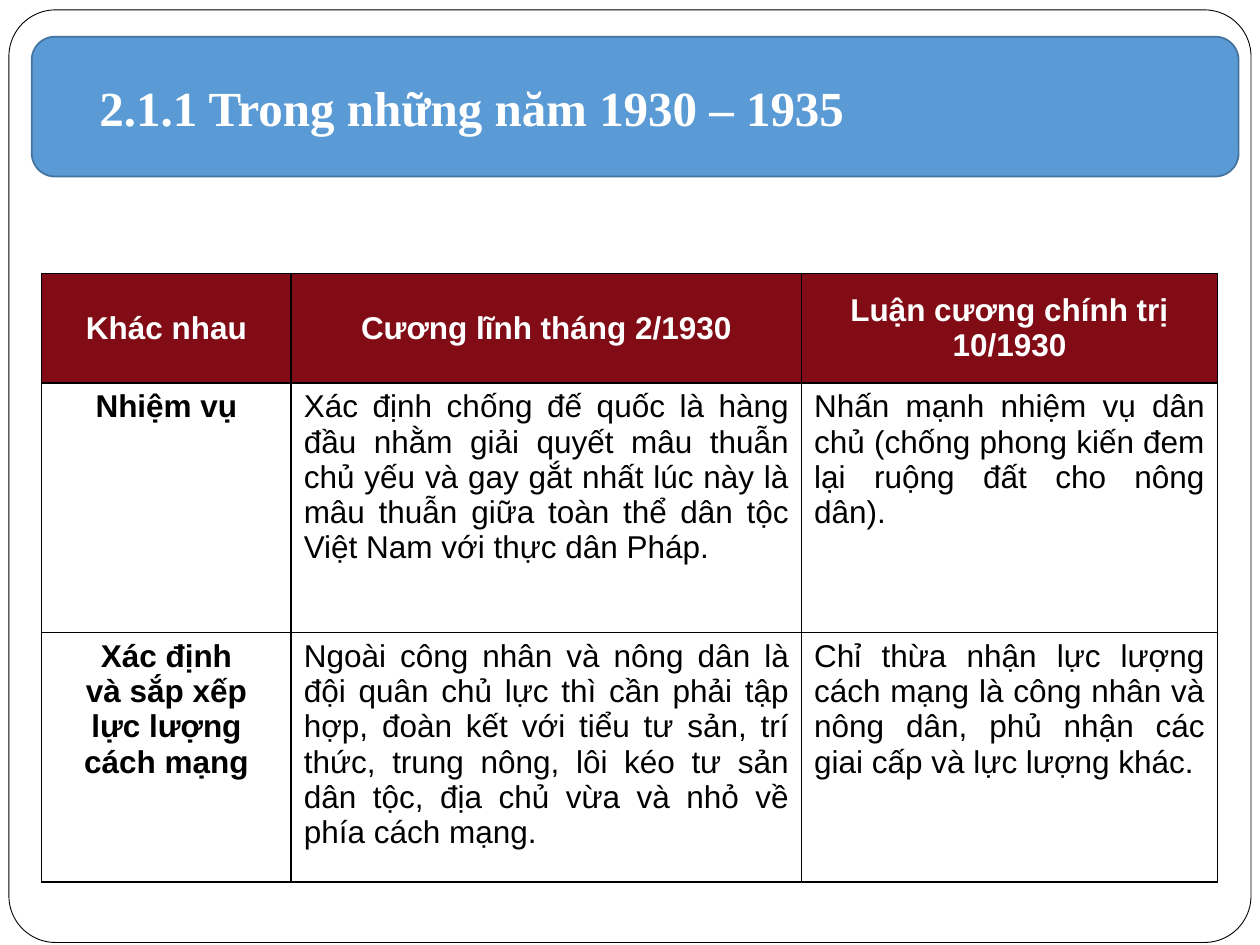
from dataclasses import dataclass

from lxml import etree
from pptx import Presentation
from pptx.dml.color import RGBColor
from pptx.enum.shapes import MSO_SHAPE
from pptx.enum.text import MSO_ANCHOR, PP_ALIGN
from pptx.oxml.ns import qn
from pptx.util import Cm, Pt

ROUNDED = MSO_SHAPE.ROUNDED_RECTANGLE
TOP, MIDDLE, BOTTOM = MSO_ANCHOR.TOP, MSO_ANCHOR.MIDDLE, MSO_ANCHOR.BOTTOM
LEFT, CENTER, JUSTIFY = PP_ALIGN.LEFT, PP_ALIGN.CENTER, PP_ALIGN.JUSTIFY

# Content
TITLE = "2.1.1 Trong những năm 1930 – 1935"
ROWS = [
    ("Khác nhau", "Cương lĩnh tháng 2/1930", "Luận cương chính trị 10/1930"),
    ("Nhiệm vụ",
     "Xác định chống đế quốc là hàng đầu nhằm giải quyết mâu thuẫn chủ yếu và "
     "gay gắt nhất lúc này là mâu thuẫn giữa toàn thể dân tộc Việt Nam với "
     "thực dân Pháp.",
     "Nhấn mạnh nhiệm vụ dân chủ (chống phong kiến đem lại ruộng đất cho nông dân)."),
    ("Xác định\vvà sắp xếp\vlực lượng\vcách mạng",
     "Ngoài công nhân và nông dân là đội quân chủ lực thì cần phải tập hợp, "
     "đoàn kết với tiểu tư sản, trí thức, trung nông, lôi kéo tư sản dân tộc, "
     "địa chủ vừa và nhỏ về phía cách mạng.",
     "Chỉ thừa nhận lực lượng cách mạng là công nhân và nông dân, phủ nhận các "
     "giai cấp và lực lượng khác."),
]
COLUMN_WIDTHS = (5.03, 10.29, 8.38)
ROW_HEIGHTS = (2.21, 5.03, 5.03)


@dataclass(frozen=True)
class Theme:
    white: str = "FFFFFF"
    black: str = "000000"
    banner: str = "5B9BD5"
    banner_line: str = "43739E"
    header: str = "810C15"
    title_font: str = "Times New Roman"
    table_font: str = "Arial"
    title_size: int = 28
    table_size: int = 18


THEME = Theme()


def color(value):
    return RGBColor.from_string(value)


def style_paragraph(paragraph, name, size, text_color, bold, alignment):
    paragraph.alignment = alignment
    font = paragraph.font
    font.name, font.size, font.bold = name, Pt(size), bold
    font.color.rgb = color(text_color)


def add_panel(slide, box, fill, line, line_width):
    shape = slide.shapes.add_shape(ROUNDED, *map(Cm, box))
    shape.shadow.inherit = False
    shape.fill.solid()
    shape.fill.fore_color.rgb = color(fill)
    shape.line.color.rgb = color(line)
    shape.line.width = Pt(line_width)
    return shape


def add_borders(cell):
    properties = cell._tc.get_or_add_tcPr()
    for index, side in enumerate(("a:lnL", "a:lnR", "a:lnT", "a:lnB")):
        line = etree.Element(qn(side), w=str(Pt(1)))
        fill = etree.SubElement(line, qn("a:solidFill"))
        etree.SubElement(fill, qn("a:srgbClr"), val=THEME.black)
        properties.insert(index, line)


presentation = Presentation()
presentation.slide_width, presentation.slide_height = Cm(25.4), Cm(19.05)
slide = presentation.slides.add_slide(presentation.slide_layouts[5])

# Frame and title banner
frame = add_panel(slide, (0.18, 0.2, 25.04, 18.8), THEME.white, THEME.black, 0.5)
frame.adjustments[0] = 0.05
add_panel(slide, (0.64, 0.74, 24.33, 2.82), THEME.banner, THEME.banner_line, 1)

# Title, brought in front of the banner
title = slide.shapes.title
title.element.getparent().append(title.element)
title.left, title.top, title.width, title.height = map(Cm, (1.75, 1.35, 21.59, 2.79))
title_frame = title.text_frame
title_frame.text = TITLE
title_frame.word_wrap = True
title_frame.vertical_anchor = BOTTOM
title_frame.margin_bottom = Cm(1.4)
style_paragraph(title_frame.paragraphs[0], THEME.title_font, THEME.title_size,
                THEME.white, True, LEFT)

# Comparison table
table = slide.shapes.add_table(
    len(ROWS), len(COLUMN_WIDTHS), Cm(0.84), Cm(5.51),
    Cm(sum(COLUMN_WIDTHS)), Cm(sum(ROW_HEIGHTS))).table
for column, width in zip(table.columns, COLUMN_WIDTHS):
    column.width = Cm(width)
for row, height in zip(table.rows, ROW_HEIGHTS):
    row.height = Cm(height)

for row_index, texts in enumerate(ROWS):
    for column_index, text in enumerate(texts):
        is_header = row_index == 0
        is_label = is_header or column_index == 0
        cell = table.cell(row_index, column_index)
        cell.text = text
        cell.vertical_anchor = MIDDLE if is_header else TOP
        cell.fill.solid()
        cell.fill.fore_color.rgb = color(THEME.header if is_header else THEME.white)
        add_borders(cell)
        style_paragraph(cell.text_frame.paragraphs[0], THEME.table_font,
                        THEME.table_size, THEME.white if is_header else THEME.black,
                        is_label, CENTER if is_label else JUSTIFY)

presentation.save("out.pptx")
